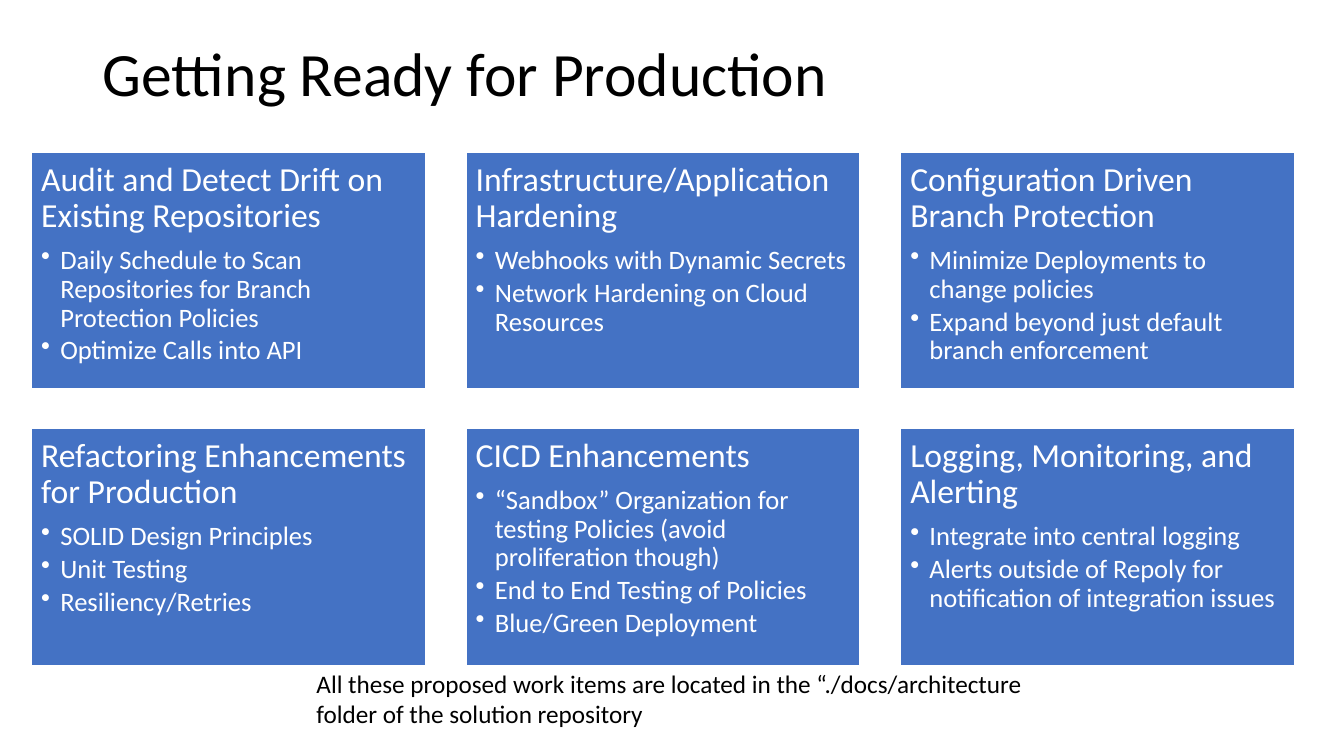
from lxml.etree import SubElement
from pptx import Presentation
from pptx.dml.color import RGBColor
from pptx.enum.shapes import MSO_SHAPE as Shape
from pptx.enum.text import MSO_ANCHOR as Anchor, MSO_AUTO_SIZE as AutoSize, PP_ALIGN as Align
from pptx.oxml.ns import qn
from pptx.util import Inches, Pt

COLORS = {"card": "4472C4", "light": "FFFFFF", "dark": "000000"}
WORK_ITEMS = [
    ("Audit and Detect Drift on Existing Repositories",
     ["Daily Schedule to Scan Repositories for Branch Protection Policies",
      "Optimize Calls into API"]),
    ("Infrastructure/Application Hardening",
     ["Webhooks with Dynamic Secrets", "Network Hardening on Cloud Resources"]),
    ("Configuration Driven Branch Protection",
     ["Minimize Deployments to change policies",
      "Expand beyond just default branch enforcement"]),
    ("Refactoring Enhancements for Production",
     ["SOLID Design Principles", "Unit Testing", "Resiliency/Retries"]),
    ("CICD Enhancements",
     ["“Sandbox” Organization for testing Policies (avoid proliferation though)",
      "End to End Testing of Policies", "Blue/Green Deployment"]),
    ("Logging, Monitoring, and Alerting",
     ["Integrate into central logging",
      "Alerts outside of Repoly for notification of integration issues"]),
]
COLUMNS = 3
CARD_LEFT, CARD_TOP = 0.31, 1.51
CARD_WIDTH, CARD_HEIGHT = 3.91, 2.35
COLUMN_STEP, ROW_STEP = 4.31, 2.74


class SlideBuilder:
    """Holds the text style and the current slide, and adds its elements."""

    def __init__(self, slide, font="Calibri"):
        self.slide = slide
        self.font = font

    def color(self, name):
        return RGBColor.from_string(COLORS[name])

    def add_text(self, paragraph, text, size, color, spacing=1.0, after=0):
        paragraph.alignment = Align.LEFT
        paragraph.line_spacing = spacing
        paragraph.space_after = Pt(after)
        run = paragraph.add_run()
        run.text = text
        run.font.name = self.font
        run.font.size = Pt(size)
        run.font.color.rgb = self.color(color)

    def title(self, text, left, top, width, height):
        heading = self.slide.shapes.title
        heading.left, heading.top = Inches(left), Inches(top)
        heading.width, heading.height = Inches(width), Inches(height)
        frame = heading.text_frame
        frame.auto_size = AutoSize.NONE
        frame.vertical_anchor = Anchor.MIDDLE
        self.add_text(frame.paragraphs[0], text, 44, "dark", 0.9)

    def bullet(self, frame, text):
        point = frame.add_paragraph()
        point.level = 1
        self.add_text(point, text, 19, "light", 0.9, 2.85)
        properties = point._p.get_or_add_pPr()
        properties.set("marL", str(Inches(0.19)))
        properties.set("indent", str(-Inches(0.19)))
        SubElement(properties, qn("a:buChar"), char="•")

    def card(self, heading, points, left, top):
        card = self.slide.shapes.add_shape(
            Shape.RECTANGLE, Inches(left), Inches(top),
            Inches(CARD_WIDTH), Inches(CARD_HEIGHT))
        card.shadow.inherit = False
        card.fill.solid()
        card.fill.fore_color.rgb = self.color("card")
        card.line.color.rgb = self.color("light")
        card.line.width = Pt(1)
        frame = card.text_frame
        frame.word_wrap = True
        frame.vertical_anchor = Anchor.TOP
        frame.margin_left = frame.margin_right = Inches(0.1)
        frame.margin_top = frame.margin_bottom = Inches(0.1)
        self.add_text(frame.paragraphs[0], heading, 24, "light", 0.9, 8.4)
        for point in points:
            self.bullet(frame, point)

    def note(self, text, left, top, width, height):
        note = self.slide.shapes.add_textbox(
            Inches(left), Inches(top), Inches(width), Inches(height))
        frame = note.text_frame
        frame.word_wrap = True
        frame.auto_size = AutoSize.SHAPE_TO_FIT_TEXT
        self.add_text(frame.paragraphs[0], text, 18, "dark")


def main():
    deck = Presentation()
    deck.slide_width, deck.slide_height = Inches(13.33), Inches(7.5)
    builder = SlideBuilder(deck.slides.add_slide(deck.slide_layouts[5]))
    builder.title("Getting Ready for Production", 0.92, 0.03, 11.5, 1.45)
    for index, (heading, points) in enumerate(WORK_ITEMS):
        row, column = divmod(index, COLUMNS)
        builder.card(heading, points,
                     CARD_LEFT + column * COLUMN_STEP, CARD_TOP + row * ROW_STEP)
    builder.note("All these proposed work items are located in the “./docs/architecture "
                 "folder of the solution repository", 3.04, 6.58, 7.25, 0.71)
    deck.save("out.pptx")


if __name__ == "__main__":
    main()
